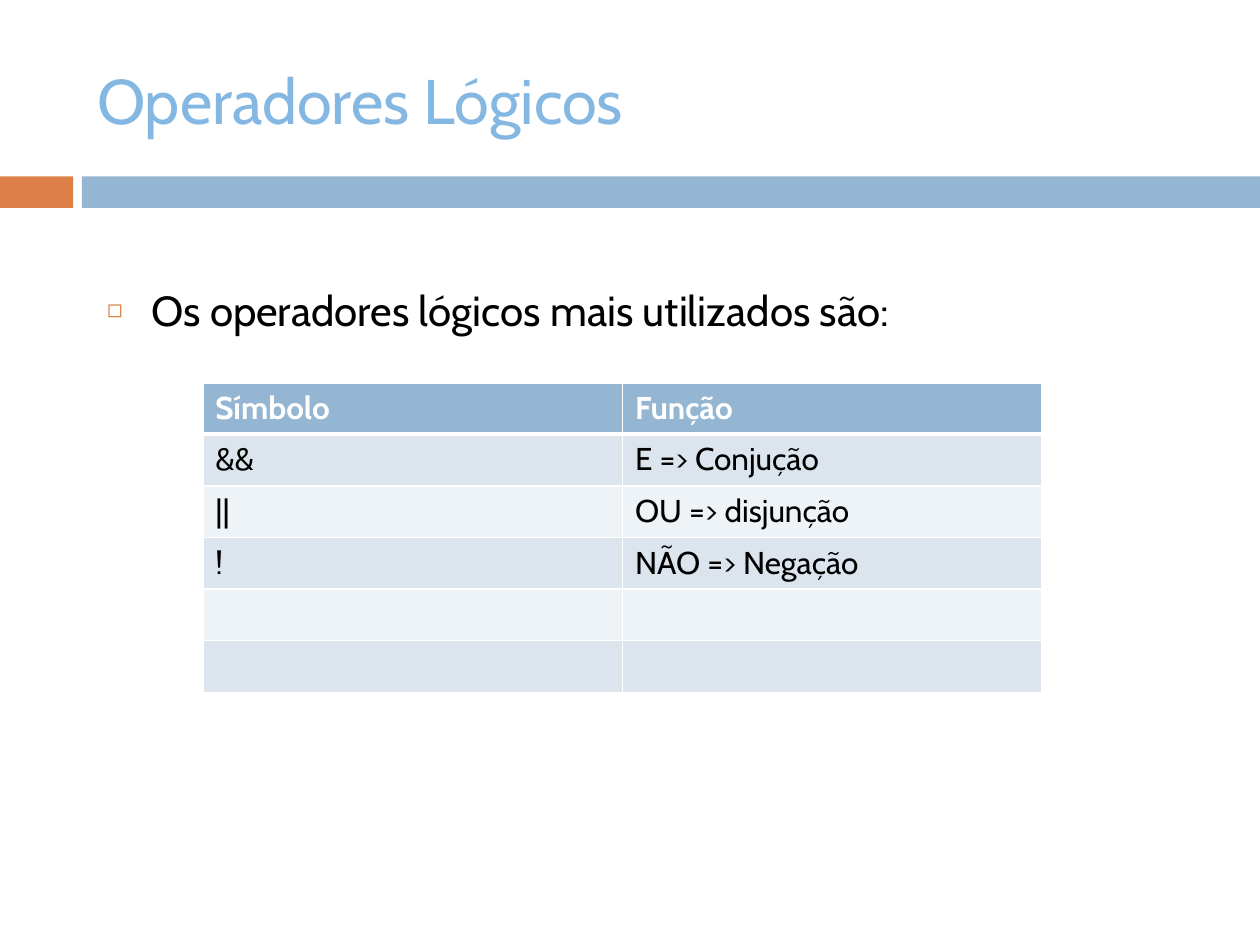
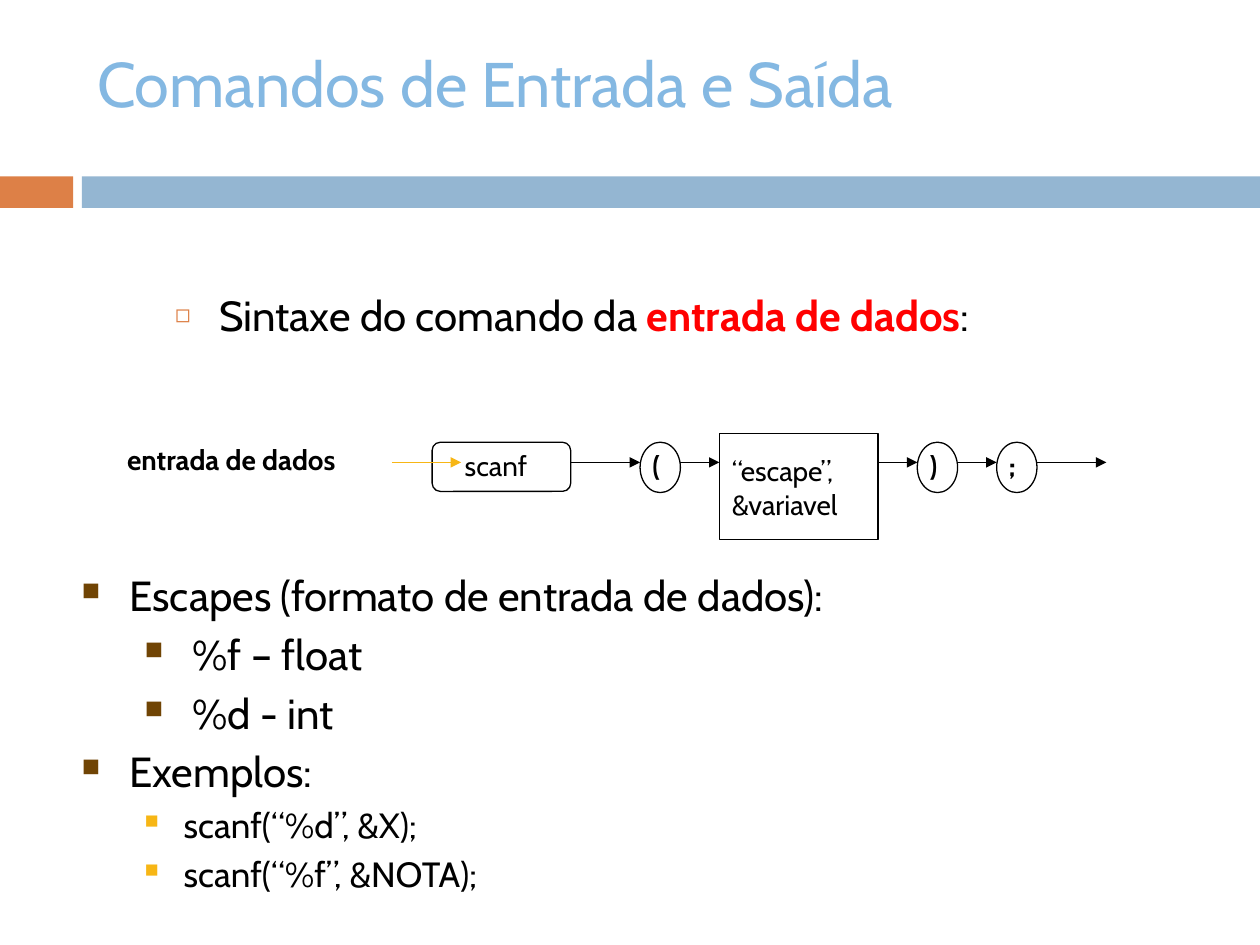
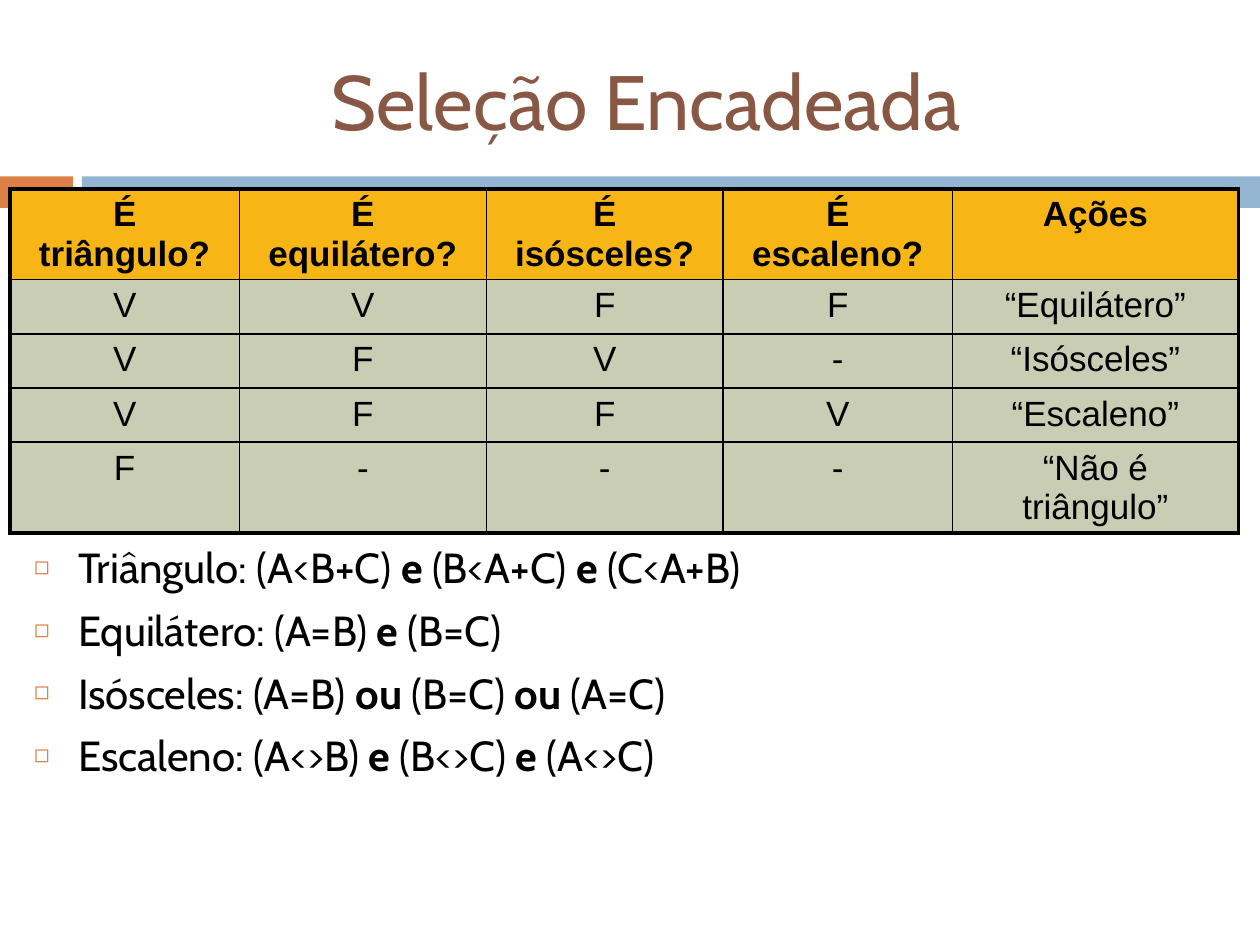
from itertools import cycle

from lxml import etree
from pptx import Presentation
from pptx import util as u
from pptx.dml.color import RGBColor
from pptx.enum import shapes, text
from pptx.oxml.ns import qn

COLORS = {
    "paper": "FFFFFF", "ink": "000000", "title": "84B8E2", "brown": "885844",
    "orange": "DD8047", "blue": "94B6D2", "band_dark": "DCE5EE",
    "band_light": "EEF3F7", "red": "FF0000", "amber": "F7B615",
    "chestnut": "704404", "sage": "C9CDB3",
}
BASE = {"name": "Cabin", "size": u.Pt(24), "bold": False, "color": "ink"}
SMALL = {"size": u.Pt(16)}
HOLLOW = {"char": "◻", "color": "orange", "percent": 60, "indent": 0.35, "hang": 0.35}
SQUARE = {"char": "■", "color": "chestnut", "percent": 60, "indent": 0.38, "hang": 0.38}
SQUARE_SUB = {**SQUARE, "indent": 0.88, "level": 1}
SQUARE_CODE = {**SQUARE, "color": "amber", "percent": 55, "indent": 0.81,
               "hang": 0.31, "level": 1}


def rgb(name):
    return RGBColor.from_string(COLORS[name])


def inches(*values):
    return [u.Inches(value) for value in values]


def child(parent, tag, **attributes):
    return etree.SubElement(parent, qn(tag), attributes)


class Lesson:
    def __init__(self):
        self.deck = Presentation()
        self.deck.slide_width, self.deck.slide_height = inches(10, 7.5)
        self.page = None
        self.canvas = None

    def add_page(self, title, color="title", size=36, **frame_style):
        self.page = self.deck.slides.add_slide(self.deck.slide_layouts[1])
        self.canvas = self.page.shapes
        box = self.page.shapes.title
        self.place(box, 0.67, 0.25, 8.92, 1.08)
        self.apply_style(box.text_frame, {
            "vertical_anchor": text.MSO_ANCHOR.MIDDLE,
            "auto_size": text.MSO_AUTO_SIZE.NONE, **frame_style})
        align = text.PP_ALIGN.CENTER if color == "brown" else text.PP_ALIGN.LEFT
        self.put_text(box.text_frame.paragraphs[0], title,
                      {"color": color, "size": u.Pt(size)}, alignment=align)

    def add_master_bands(self):
        tree = self.deck.slide_master.shapes.element
        for left, width, color in ((0.65, 9.35, "blue"), (0, 0.58, "orange")):
            band = self.shape("RECTANGLE", left, 1.4, width, 0.25, color, None)
            tree.insert(2, band.element)

    def start_group(self):
        self.canvas = self.page.shapes.add_group_shape().shapes

    def end_group(self):
        self.canvas = self.page.shapes

    def apply_style(self, target, values):
        for key, value in values.items():
            setattr(target, key, value)

    def place(self, box, *bounds):
        self.apply_style(box, dict(zip(("left", "top", "width", "height"),
                                       inches(*bounds))))

    def put_text(self, para, words, look=None, accent=None, **layout):
        self.apply_style(para, {"space_before": u.Pt(0), **layout})
        for index, part in enumerate(words.split("*")):
            if not part:
                continue
            emphasis = {"bold": True, **(accent or {})} if index % 2 else {}
            values = {**BASE, **(look or {}), **emphasis}
            span = para.add_run()
            span.text = part
            span.font.color.rgb = rgb(values.pop("color"))
            self.apply_style(span.font, values)

    def bullet(self, para, mark):
        para.level = mark.get("level", 0)
        props = para._p.get_or_add_pPr()
        props.set("marL", str(u.Inches(mark["indent"])))
        props.set("indent", str(-u.Inches(mark["hang"])))
        child(child(props, "a:buClr"), "a:srgbClr", val=COLORS[mark["color"]])
        child(props, "a:buSzPct", val=str(mark["percent"] * 1000))
        child(props, "a:buChar", char=mark["char"])

    def fill_list(self, frame, items, gap=None, accent=None):
        for index, (words, mark, size) in enumerate(items):
            para = frame.add_paragraph() if index else frame.paragraphs[0]
            self.put_text(para, words, {"size": u.Pt(size)}, accent,
                          space_before=u.Pt(gap or size * 0.2))
            self.bullet(para, mark)

    def body(self, bounds, lines, accent=None):
        box = self.page.placeholders[1]
        self.place(box, *bounds)
        box.text_frame.auto_size = text.MSO_AUTO_SIZE.NONE
        self.fill_list(box.text_frame, [(line, HOLLOW, 24) for line in lines], 7, accent)

    def text_box(self, *bounds):
        frame = self.canvas.add_textbox(*inches(*bounds)).text_frame
        frame.word_wrap = True
        return frame

    def label(self, words, *bounds):
        frame = self.text_box(*bounds)
        frame.auto_size = text.MSO_AUTO_SIZE.SHAPE_TO_FIT_TEXT
        self.put_text(frame.paragraphs[0], words, SMALL)

    def shape(self, kind, left, top, width, height, fill="paper", line="ink"):
        box = self.canvas.add_shape(getattr(shapes.MSO_SHAPE, kind),
                                    *inches(left, top, width, height))
        box.shadow.inherit = False
        box.fill.solid()
        box.fill.fore_color.rgb = rgb(fill)
        if line:
            box.line.color.rgb = rgb(line)
            box.line.width = u.Pt(0.75)
        else:
            box.line.fill.background()
        return box

    def arrow(self, start, end, y, color="ink"):
        line = self.canvas.add_connector(shapes.MSO_CONNECTOR.STRAIGHT,
                                         *inches(start, y, end, y))
        line.line.color.rgb = rgb(color)
        line.line.width = u.Pt(0.75)
        child(line.line._get_or_add_ln(), "a:tailEnd", type="triangle")
        child(line.element.spPr, "a:effectLst")

    def borders(self, cell, color, widths):
        props = cell._tc.get_or_add_tcPr()
        for side in "LRTB":
            line = child(props, "a:ln" + side, w=str(u.Pt(widths[side])))
            child(child(line, "a:solidFill"), "a:srgbClr", val=COLORS[color])

    def table(self, left, top, columns, heights, rows, fills, border, edge, rule,
              look, head, align):
        grid = self.canvas.add_table(len(rows), len(columns), *inches(
            left, top, sum(columns), sum(heights))).table
        grid.horz_banding = False
        for column, width in zip(grid.columns, columns):
            column.width = u.Inches(width)
        for row, height in zip(grid.rows, heights):
            row.height = u.Inches(height)
        for r, (row, fill) in enumerate(zip(rows, fills)):
            for c, words in enumerate(row):
                cell = grid.cell(r, c)
                self.borders(cell, border, {
                    "L": 1 if c else edge,
                    "R": 1 if c < len(columns) - 1 else edge,
                    "T": {0: edge, 1: rule}.get(r, 1),
                    "B": {0: rule, len(rows) - 1: edge}.get(r, 1)})
                cell.fill.solid()
                cell.fill.fore_color.rgb = rgb(fill)
                self.put_text(cell.text_frame.paragraphs[0], words,
                              look if r else {**look, **head}, alignment=align)


lesson = Lesson()

lesson.add_page("Operadores Lógicos")
lesson.add_master_bands()
lesson.body((0.75, 2.21, 9.05, 0.6), ["Os operadores lógicos mais utilizados são:"])
operators = [("Símbolo", "Função"), ("&&", "E => Conjução"), ("||", "OU => disjunção"),
             ("!", "NÃO => Negação"), ("", ""), ("", "")]
stripes = cycle(["band_dark", "band_light"])
lesson.table(1.61, 3.04, [3.33] * 2, [0.38] + [0.41] * 5, operators,
             ["blue"] + [next(stripes) for _ in operators[1:]],
             border="paper", edge=1, rule=3, look={"size": u.Pt(18)},
             head={"bold": True, "color": "paper"}, align=text.PP_ALIGN.LEFT)

lesson.add_page("Comandos de Entrada e Saída", margin_bottom=u.Inches(0.33))
lesson.body((1.29, 2.25, 8.5, 0.6), ["Sintaxe do comando da *entrada de dados*:"],
            accent={"color": "red"})
lesson.start_group()
lesson.shape("ROUNDED_RECTANGLE", 3.43, 3.51, 1.1, 0.39)
lesson.shape("RECTANGLE", 5.71, 3.44, 1.26, 0.84)
for left in (5.08, 7.28, 7.91):
    lesson.shape("OVAL", left, 3.51, 0.32, 0.4)
flow_y = 3.67
lesson.arrow(3.11, 3.66, flow_y, "amber")
for start, end in ((4.53, 5.08), (5.4, 5.71), (6.97, 7.28), (7.6, 7.91), (8.23, 8.78)):
    lesson.arrow(start, end, flow_y)
for words, left, top, width, height in (
        ("*entrada de dados*", 0.91, 3.46, 2.28, 0.37),
        ("scanf", 3.59, 3.51, 0.86, 0.37),
        ("“escape”, &variavel", 5.71, 3.55, 1.26, 0.64),
        ("*(*", 5.08, 3.51, 0.32, 0.37),
        ("*)*", 7.28, 3.51, 0.24, 0.37),
        ("*;*", 7.91, 3.51, 0.24, 0.37)):
    lesson.label(words, left, top, width, height)
lesson.end_group()
lesson.fill_list(lesson.text_box(0.55, 4.47, 8.5, 1.78), [
    ("Escapes (formato de entrada de dados):", SQUARE, 24),
    ("%f – float", SQUARE_SUB, 24),
    ("%d - int", SQUARE_SUB, 24),
    ("Exemplos:", SQUARE, 24),
    ("scanf(“%d”, &X);", SQUARE_CODE, 20),
    ("scanf(“%f”, &NOTA);", SQUARE_CODE, 20)])

lesson.add_page("Seleção Encadeada", "brown", 44)
lesson.body((0.17, 4.25, 9.67, 2.75), [
    "Triângulo: (A<B+C) *e* (B<A+C) *e* (C<A+B)",
    "Equilátero: (A=B) *e* (B=C)",
    "Isósceles: (A=B) *ou* (B=C) *ou* (A=C)",
    "Escaleno: (A<>B) *e* (B<>C) *e* (A<>C)"])
decisions = [
    ("É triângulo?", "É equilátero?", "É isósceles?", "É escaleno?", "Ações"),
    ("V", "V", "F", "F", "“Equilátero”"),
    ("V", "F", "V", "-", "“Isósceles”"),
    ("V", "F", "F", "V", "“Escaleno”"),
    ("F", "-", "-", "-", "“Não é triângulo”")]
lesson.table(0.08, 1.5, [1.82, 1.96, 1.88, 1.82, 2.27], [0.56] + [0.43] * 4, decisions,
             ["amber"] + ["sage"] * 4, border="ink", edge=2.25, rule=1,
             look={"name": "Arial", "size": u.Pt(20)}, head={"bold": True},
             align=text.PP_ALIGN.CENTER)

lesson.deck.save("out.pptx")
